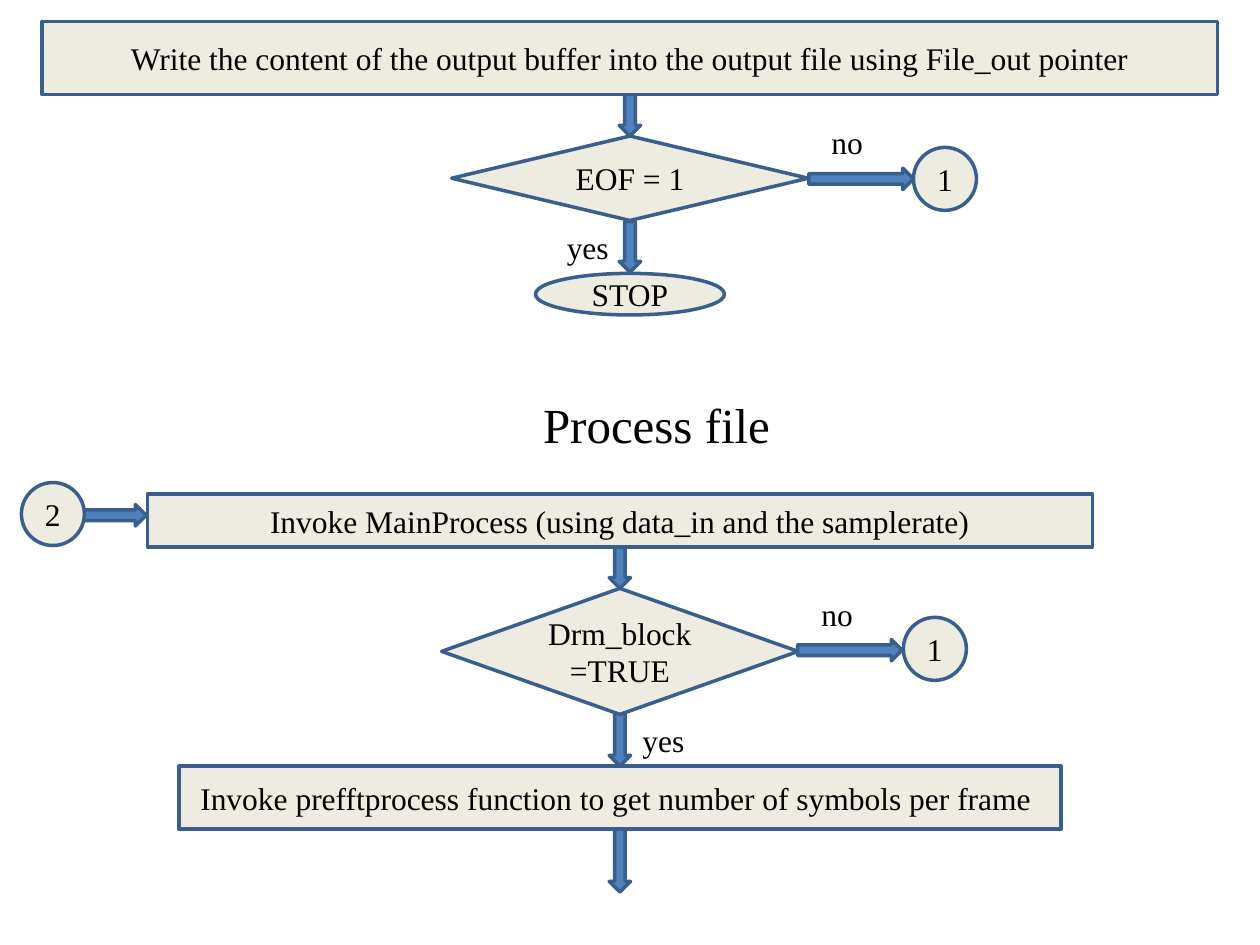
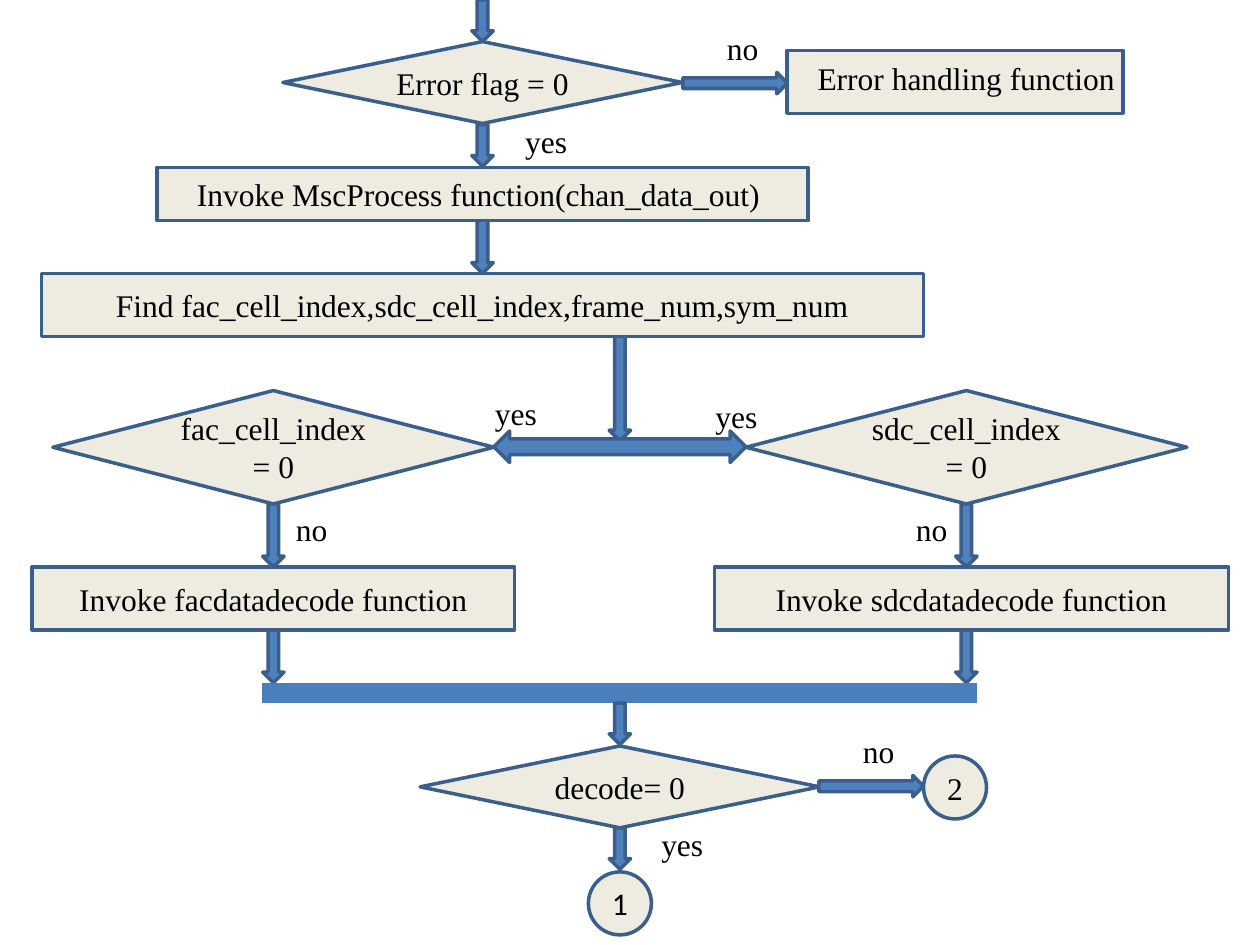
from dataclasses import dataclass

from lxml.etree import SubElement
from pptx import Presentation
from pptx.dml.color import RGBColor
from pptx.enum.shapes import MSO_CONNECTOR, MSO_SHAPE
from pptx.enum.text import MSO_ANCHOR, MSO_AUTO_SIZE, PP_ALIGN
from pptx.oxml.ns import qn
from pptx.util import Inches, Pt


@dataclass(frozen=True)
class Theme:
    step_fill: RGBColor = RGBColor.from_string("EEECE1")
    arrow_fill: RGBColor = RGBColor.from_string("4F81BD")
    outline: RGBColor = RGBColor.from_string("3A5F8C")
    merge_bar: RGBColor = RGBColor.from_string("4B7EBC")
    ink: RGBColor = RGBColor.from_string("000000")
    font: str = "Times New Roman"
    connector_font: str = "Calibri"
    body_size: Pt = Pt(18)
    title_size: Pt = Pt(28)
    outline_width: Pt = Pt(2)
    bar_width: Pt = Pt(11.25)
    arrow_width: float = 0.17
    branch_length: float = 0.83
    circle_size: float = 0.5


class Flowchart:
    """Draws flowchart elements on the current slide; lengths are in inches."""

    def __init__(self, deck, theme):
        self.deck = deck
        self.theme = theme
        self.page = None

    def new_page(self):
        self.page = self.deck.slides.add_slide(self.deck.slide_layouts[6])

    def add_text(self, frame, text, align, **changes):
        para = frame.paragraphs[0]
        para.alignment = align
        span = para.add_run()
        span.text = text
        font_format = {"name": self.theme.font, "size": self.theme.body_size} | changes
        for name, value in font_format.items():
            setattr(span.font, name, value)
        span.font.color.rgb = self.theme.ink

    def shape(self, kind, left, top, width, height, fill):
        shape = self.page.shapes.add_shape(
            kind, Inches(left), Inches(top), Inches(width), Inches(height))
        shape.shadow.inherit = False
        shape.fill.solid()
        shape.fill.fore_color.rgb = fill
        shape.line.color.rgb = self.theme.outline
        shape.line.width = self.theme.outline_width
        return shape

    def node(self, kind, text, center, top, width, height, **changes):
        """Add a flowchart symbol centred on the given x position."""
        node = self.shape(kind, center - width / 2, top, width, height,
                          self.theme.step_fill)
        if kind == MSO_SHAPE.ROUNDED_RECTANGLE:
            node.adjustments[0] = 0
        if text:
            frame = node.text_frame
            frame.word_wrap = True
            frame.vertical_anchor = MSO_ANCHOR.MIDDLE
            self.add_text(frame, text, PP_ALIGN.CENTER, **changes)

    def step(self, text, center, top, width, height=0.5):
        self.node(MSO_SHAPE.ROUNDED_RECTANGLE, text, center, top, width, height)

    def decision(self, text, center, top, width, height):
        self.node(MSO_SHAPE.DIAMOND, text, center, top, width, height)

    def circle(self, text, center, top, **changes):
        size = self.theme.circle_size
        self.node(MSO_SHAPE.OVAL, text, center, top, size, size, **changes)

    def down_arrow(self, center, top, length):
        width = self.theme.arrow_width
        self.shape(MSO_SHAPE.DOWN_ARROW, center - width / 2, top, width, length,
                   self.theme.arrow_fill)

    def right_arrow(self, left, middle):
        width = self.theme.arrow_width
        self.shape(MSO_SHAPE.RIGHT_ARROW, left, middle - width / 2,
                   self.theme.branch_length, width, self.theme.arrow_fill)

    def two_way_arrow(self, left, top, width, height):
        self.shape(MSO_SHAPE.LEFT_RIGHT_ARROW, left, top, width, height,
                   self.theme.arrow_fill)

    def merge_bar(self, left, right, middle):
        bar = self.page.shapes.add_connector(
            MSO_CONNECTOR.STRAIGHT, Inches(left), Inches(middle),
            Inches(right), Inches(middle))
        bar.line.color.rgb = self.theme.merge_bar
        bar.line.width = self.theme.bar_width
        SubElement(bar._element.spPr, qn("a:effectLst"))

    def label(self, text, left, top, width=0.54, height=0.4, wrap=False,
              align=PP_ALIGN.LEFT, **changes):
        box = self.page.shapes.add_textbox(
            Inches(left), Inches(top), Inches(width), Inches(height))
        box.text_frame.word_wrap = wrap
        box.text_frame.auto_size = MSO_AUTO_SIZE.SHAPE_TO_FIT_TEXT
        self.add_text(box.text_frame, text, align, **changes)

    def yes(self, left, top):
        self.label("yes", left, top)

    def no(self, left, top):
        self.label("no", left, top, width=0.75, wrap=True)


def draw_file_processing(chart):
    chart.new_page()
    output, process = 5.0, 4.92

    for top in (4.17, 5.58, 6.58):
        chart.down_arrow(process, top, 0.5)
    chart.label("Process file", 3.67, 3.08, 3.08, 0.57, wrap=True,
                align=PP_ALIGN.CENTER, size=chart.theme.title_size)
    chart.step("Invoke MainProcess (using data_in and the samplerate)",
               process, 3.92, 7.5, 0.42)
    chart.right_arrow(0.33, 4.09)
    chart.circle("2", 0.42, 3.83)
    chart.decision("Drm_block=TRUE", process, 4.67, 2.83, 1)
    chart.yes(5, 5.67)
    chart.no(6.42, 4.67)
    chart.right_arrow(6.33, 5.16)
    chart.circle("1", 7.42, 4.9)
    chart.step("Invoke prefftprocess function to get number of symbols per frame ",
               process, 6.08, 7)

    chart.node(MSO_SHAPE.OVAL, "STOP", output, 2.17, 1.5, 0.33)
    chart.down_arrow(output, 1.76, 0.4)
    chart.down_arrow(output, 0.75, 0.33)
    chart.decision("EOF = 1", output, 1.08, 2.83, 0.67)
    chart.yes(4.4, 1.76)
    chart.no(6.5, 0.93)
    chart.right_arrow(6.42, 1.42)
    chart.circle("1", 7.5, 1.17)
    chart.node(MSO_SHAPE.RECTANGLE,
               "Write the content of the output buffer into the output file "
               "using File_out pointer", output, 0.17, 9.33, 0.58)


def draw_decoding(chart):
    chart.new_page()
    check, decode = 3.83, 4.92

    chart.down_arrow(decode, 2.67, 0.83)
    chart.step("Find fac_cell_index,sdc_cell_index,frame_num,sym_num",
               check, 2.17, 7)
    for top, length in ((1.67, 0.5), (0.99, 0.33), (0, 0.33)):
        chart.down_arrow(check, top, length)
    chart.step("Invoke MscProcess function(chan_data_out) ", check, 1.33, 5.17, 0.42)
    chart.decision("Error flag = 0", check, 0.33, 3.17, 0.65)
    chart.yes(4.07, 0.92)
    chart.no(5.67, 0.18)
    chart.node(MSO_SHAPE.RECTANGLE, "", 7.58, 0.4, 2.67, 0.5)
    chart.right_arrow(5.42, 0.66)
    chart.label("Error handling function", 6.39, 0.42, 2.58)

    chart.two_way_arrow(3.92, 3.42, 2, 0.25)
    branches = (
        ("fac", 2.17, 2.17, 3.83, (3.83, 3.08), 2.25),
        ("sdc", 7.67, 7.71, 4.08, (5.58, 3.1), 7.17),
    )
    for name, center, step_center, step_width, yes_place, no_left in branches:
        chart.decision(f"{name}_cell_index = 0", center, 3.1, 3.5, 0.9)
        chart.yes(*yes_place)
        chart.no(no_left, 4)
        for top in (4, 4.92):
            chart.down_arrow(center, top, 0.5)
        chart.step(f"Invoke {name}datadecode function", step_center, 4.5, step_width)

    chart.merge_bar(2.08, 7.75, 5.5)
    for top in (5.58, 6.57):
        chart.down_arrow(decode, top, 0.33)
    chart.decision("decode= 0", decode, 5.92, 3.17, 0.65)
    chart.yes(5.15, 6.5)
    chart.right_arrow(6.5, 6.24)
    chart.no(6.75, 5.76)
    chart.circle("1", decode, 6.92, name=chart.theme.connector_font)
    chart.circle("2", 7.58, 6)


def main():
    deck = Presentation()
    deck.slide_width, deck.slide_height = Inches(10), Inches(7.5)
    chart = Flowchart(deck, Theme())
    draw_file_processing(chart)
    draw_decoding(chart)
    deck.save("out.pptx")


if __name__ == "__main__":
    main()
